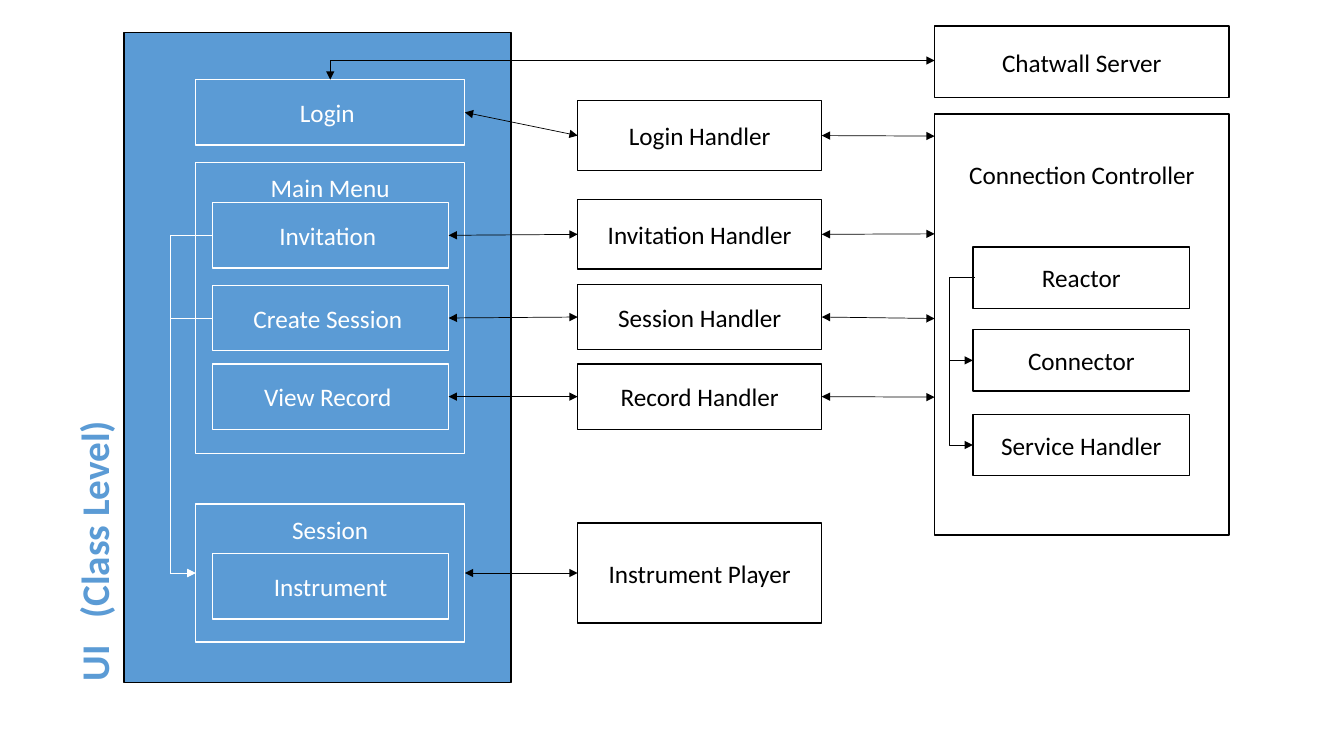
"""Draw the class-level diagram of the interface, its handlers and the connection side."""
import dataclasses
import typing

import pptx
import pptx.dml.color
import pptx.enum.shapes
import pptx.enum.text
import pptx.oxml.ns
import pptx.util
from lxml import etree

Inches = pptx.util.Inches
Pt = pptx.util.Pt
Point = typing.Tuple[float, float]
BLUE, WHITE, BLACK = "5B9BD5", "FFFFFF", "000000"


@dataclasses.dataclass(frozen=True)
class Box:
    """A labelled rectangle, with the label at the top when an inset is given."""
    text: str
    left: float
    top: float
    width: float
    height: float
    ink: str = BLACK
    fill: typing.Optional[str] = None
    inset: typing.Optional[float] = None

    @property
    def right(self) -> float:
        """Return the right edge."""
        return self.left + self.width

    @property
    def mid(self) -> float:
        """Return the height of the centre line."""
        return self.top + self.height / 2


@dataclasses.dataclass(frozen=True)
class Link:
    """An arrow, straight or bent at a given x or at a corner."""
    start: Point
    end: Point
    ink: str = BLACK
    both: bool = True
    bend: typing.Optional[float] = None
    corner: bool = False


def color(code: str) -> pptx.dml.color.RGBColor:
    """Turn a hex string into a colour."""
    return pptx.dml.color.RGBColor.from_string(code)


def style(target: typing.Any, values: typing.Dict[str, typing.Any]) -> None:
    """Set each named value on the target."""
    for name, value in values.items():
        setattr(target, name, value)


def write(para: typing.Any, text: str, size: float, ink: str, bold: bool = False) -> typing.Any:
    """Add a formatted run to a paragraph."""
    run = para.add_run()
    run.text = text
    style(run.font, {"name": "Calibri", "size": Pt(size), "bold": bold})
    run.font.color.rgb = color(ink)
    return run


def draw_box(slide: typing.Any, box: Box) -> None:
    """Draw a rectangle and its label."""
    shape = slide.shapes.add_shape(
        pptx.enum.shapes.MSO_SHAPE.RECTANGLE,
        *map(Inches, (box.left, box.top, box.width, box.height)))
    shape.shadow.inherit = False
    if box.fill:
        shape.fill.solid()
        shape.fill.fore_color.rgb = color(box.fill)
    else:
        shape.fill.background()
    shape.line.color.rgb = color(box.ink)
    shape.line.width = Pt(1)
    if not box.text:
        return
    anchor = pptx.enum.text.MSO_ANCHOR
    frame = shape.text_frame
    style(frame, {"word_wrap": True, "vertical_anchor": anchor.MIDDLE})
    if box.inset is not None:
        style(frame, {"vertical_anchor": anchor.TOP, "margin_top": Inches(box.inset)})
    para = frame.paragraphs[0]
    para.alignment = pptx.enum.text.PP_ALIGN.CENTER
    write(para, box.text, 18, box.ink)


def draw_link(slide: typing.Any, link: Link) -> None:
    """Draw an arrow with one or two heads."""
    kinds = pptx.enum.shapes.MSO_CONNECTOR
    bent = link.corner or link.bend is not None
    wire = slide.shapes.add_connector(
        kinds.ELBOW if bent else kinds.STRAIGHT,
        *map(Inches, (*link.start, *link.end)))
    wire.line.color.rgb = color(link.ink)
    wire.line.width = Pt(0.5)
    qn = pptx.oxml.ns.qn
    props = wire.element.spPr
    geom = props.find(qn("a:prstGeom"))
    if link.corner:
        geom.set("prst", "bentConnector2")
    elif link.bend is not None:
        ratio = (link.bend - link.start[0]) / (link.end[0] - link.start[0])
        guide = etree.SubElement(geom.find(qn("a:avLst")), qn("a:gd"))
        guide.set("name", "adj1")
        guide.set("fmla", f"val {round(ratio * 100000)}")
    line = props.find(qn("a:ln"))
    for tag in ("a:headEnd", "a:tailEnd") if link.both else ("a:tailEnd",):
        etree.SubElement(line, qn(tag)).set("type", "triangle")
    etree.SubElement(props, qn("a:effectLst"))


def draw_label(slide: typing.Any) -> None:
    """Write the upright label beside the panel."""
    label = slide.shapes.add_textbox(*map(Inches, (-0.53, 5.11, 2.92, 0.57)))
    label.rotation = 270
    label.text_frame.word_wrap = True
    para = label.text_frame.paragraphs[0]
    write(para, "UI", 28, BLUE, True)
    gap = write(para, " ", 28, BLUE, True)
    gap.font._element.set("spc", "1260")
    write(para, "(Class Level)", 28, BLUE, True)


def screen(text: str, top: float) -> Box:
    """Make a white-lined box inside a group."""
    return Box(text, 2.11, top, 2.34, 0.65, WHITE)


def handler(text: str, top: float, height: float) -> Box:
    """Make a box of the middle column."""
    return Box(text, 5.73, top, 2.42, height)


def main() -> None:
    """Build and save the slide."""
    deck = pptx.Presentation()
    style(deck, {"slide_width": Inches(13.33), "slide_height": Inches(7.5)})
    slide = deck.slides.add_slide(deck.slide_layouts[6])

    panel = Box("", 1.23, 0.32, 3.84, 6.45, BLACK, BLUE)
    login = Box("Login ", 1.94, 0.79, 2.67, 0.65, WHITE)
    menu = Box("Main Menu", 1.94, 1.61, 2.67, 2.89, WHITE, inset=0.1)
    session = Box("Session", 1.94, 5, 2.67, 1.37, WHITE, inset=0.1)
    player = screen("Instrument", 5.49)
    items = [screen("Invitation ", 2.01), screen("Create Session ", 2.83),
             screen("View Record ", 3.61)]
    handlers = [handler("Login Handler", 1, 0.69), handler("Invitation Handler", 1.98, 0.69),
                handler("Session Handler", 2.82, 0.65), handler("Record Handler", 3.61, 0.65),
                handler("Instrument Player", 5.19, 0.99)]
    server = Box("Chatwall Server", 9.27, 0.26, 2.92, 0.71, BLACK, WHITE)
    control = Box("Connection Controller", 9.27, 1.13, 2.92, 4.18, inset=0.45)
    parts = [Box(text, 9.65, top, 2.15, 0.61, BLACK, WHITE) for text, top in
             (("Reactor", 2.45), ("Connector", 3.27), ("Service Handler", 4.11))]

    links = [Link((a.right, a.mid), (b.left, b.mid))
             for a, b in zip([login, *items, session], handlers)]
    links += [Link((a.right, a.mid), (control.left, y))
              for a, y in zip(handlers, (1.35, 2.32, 3.16, 3.94))]
    links += [Link((a.left, a.mid), (session.left, session.mid), WHITE, False, 1.69)
              for a in items[:2]]
    links += [Link((parts[0].left + 0.02, parts[0].mid), (b.left, b.mid), BLACK, False, 9.42)
              for b in parts[1:]]
    links.append(Link((server.left, 0.6), (login.left + login.width / 2, login.top), corner=True))

    for box in (panel, login, menu, *items, session, player, *handlers, server, control, *parts):
        draw_box(slide, box)
    for link in links:
        draw_link(slide, link)
    draw_label(slide)
    deck.save("out.pptx")


main()
